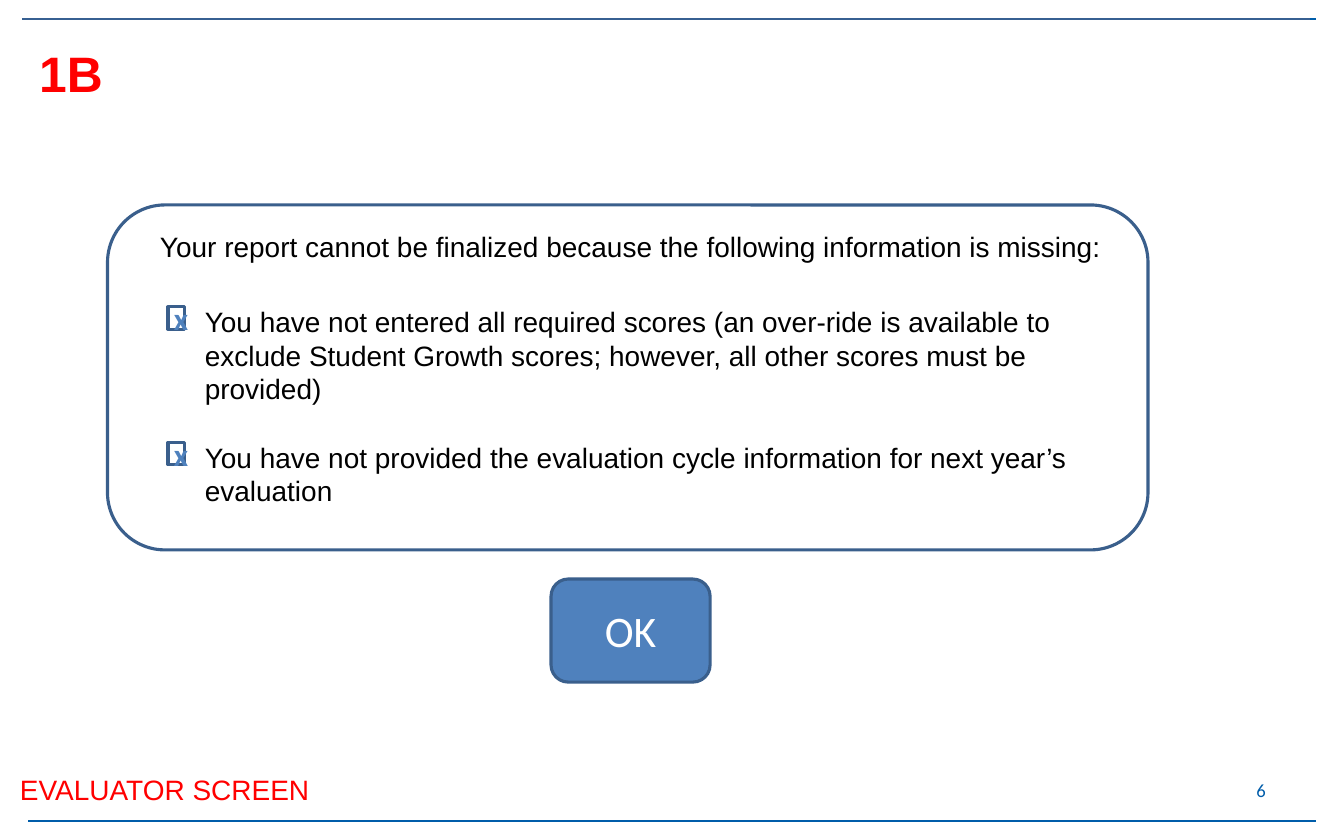
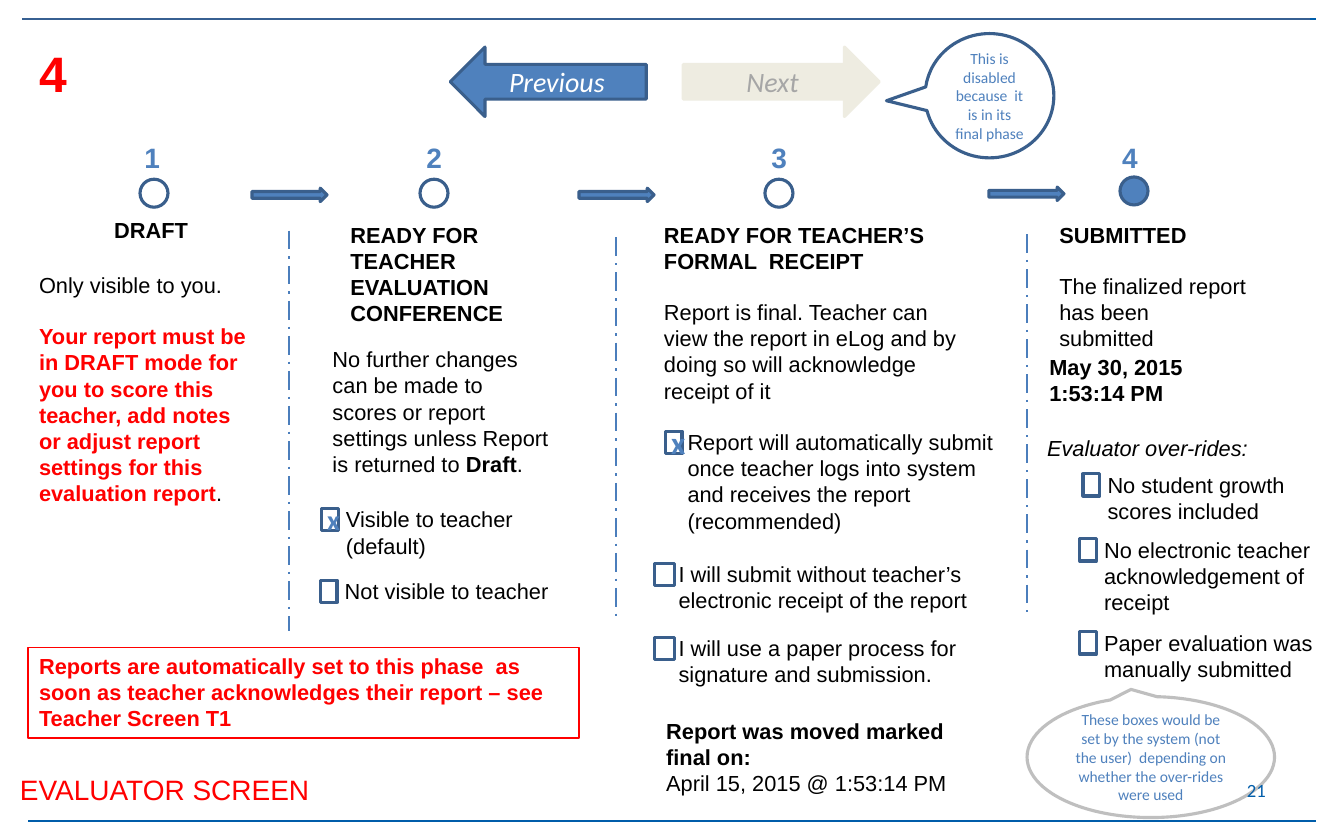
from lxml.etree import SubElement
from pptx import Presentation
from pptx.dml.color import RGBColor
from pptx.enum.dml import MSO_LINE
from pptx.enum.shapes import MSO_CONNECTOR, MSO_SHAPE
from pptx.enum.text import MSO_ANCHOR, MSO_AUTO_SIZE, PP_ALIGN
from pptx.oxml.ns import qn
from pptx.util import Inches, Pt

BLUE = RGBColor(0x4F, 0x81, 0xBD)
OUTLINE = RGBColor(0x3A, 0x5F, 0x8C)
DIVIDER = RGBColor(0x4B, 0x7E, 0xBC)
RULE = RGBColor(0x00, 0x5D, 0xAA)
TOP_RULE = RGBColor(0x37, 0x60, 0x92)
RED = RGBColor(0xFF, 0x00, 0x00)
BLACK = RGBColor(0x00, 0x00, 0x00)
WHITE = RGBColor(0xFF, 0xFF, 0xFF)
CREAM = RGBColor(0xEE, 0xEC, 0xE1)
GRAY = RGBColor(0xA6, 0xA6, 0xA6)
SILVER = RGBColor(0xBF, 0xBF, 0xBF)
W, H = 12, 7.5
MARGIN = 0.25
LINE_GAP = 16  # points, one line of 14 pt text


def add_box(s, kind, x, y, w, h, fill=None, line=None, weight=2):
    """Add a preset shape, or a wrapping text box when kind is None."""
    place = [Inches(v) for v in (x, y, w, h)]
    if kind is None:
        sp = s.shapes.add_textbox(*place)
        sp.text_frame.word_wrap = True
        return sp
    sp = s.shapes.add_shape(kind, *place)
    sp.shadow.inherit = False
    if fill is None:
        sp.fill.background()
    else:
        sp.fill.solid()
        sp.fill.fore_color.rgb = fill
    sp.line.color.rgb = line
    sp.line.width = Pt(weight)
    return sp


def write(sp, text, size=14, font="Arial", color=BLACK, bold=False, italic=False,
          align=PP_ALIGN.LEFT, anchor=MSO_ANCHOR.TOP, gap=None):
    """Append a run; a gap in points starts a new paragraph that far below."""
    tf = sp.text_frame
    tf.vertical_anchor = anchor
    p = tf.paragraphs[-1] if gap is None else tf.add_paragraph()
    p.alignment = align
    if gap is not None:
        p.space_before = Pt(gap)
    r = p.add_run()
    r.text = text
    r.font.size, r.font.name = Pt(size), font
    r.font.bold, r.font.italic = bold, italic
    r.font.color.rgb = color


CENTERED = dict(font="Calibri", align=PP_ALIGN.CENTER, anchor=MSO_ANCHOR.MIDDLE)

prs = Presentation()
prs.slide_width, prs.slide_height = Inches(W), Inches(H)

# Frame shared by both slides: rules, title, footer, page number
slides = []
for title, page in [("1B", "6"), ("4", "21")]:
    s = prs.slides.add_slide(prs.slide_layouts[5])
    slides.append(s)
    rules = [(MARGIN, 0.17, RULE), (MARGIN, H - 0.17, RULE), (0.2, 0.17, TOP_RULE)]
    for x, y, color in rules:
        ln = s.shapes.add_connector(MSO_CONNECTOR.STRAIGHT, Inches(x), Inches(y),
                                    Inches(x + W - 2 * MARGIN), Inches(y))
        ln.line.color.rgb = color
        ln.line.width = Pt(1.5)
        SubElement(ln.element.spPr, qn("a:effectLst"))
    sp = s.shapes.title
    sp.left, sp.top, sp.width, sp.height = [Inches(v) for v in (MARGIN, 0.33, 1.42, 0.64)]
    sp.text_frame.auto_size = MSO_AUTO_SIZE.NONE
    write(sp, title, size=32, color=RED, bold=True)
report, phases = slides

# Message that blocks the report
add_box(report, MSO_SHAPE.ROUNDED_RECTANGLE, 0.96, 1.83, 9.29, 3.08, WHITE, OUTLINE)
sp = add_box(report, None, 1.33, 2, 8.92, 0.4)
write(sp, "Your report cannot be finalized because the following information is missing:",
      size=18)
sp = add_box(report, MSO_SHAPE.ROUNDED_RECTANGLE, 4.92, 5.17, 1.42, 0.92, BLUE, OUTLINE)
write(sp, "OK", size=28, color=WHITE, **CENTERED)

# Navigation arrows
for text, kind, x, fill, line, color in [
    ("Next", MSO_SHAPE.RIGHT_ARROW, 6.1, CREAM, CREAM, GRAY),
    ("Previous", MSO_SHAPE.LEFT_ARROW, 4.02, BLUE, OUTLINE, WHITE),
]:
    sp = add_box(phases, kind, x, 0.42, 1.75, 0.62, fill, line)
    write(sp, text, size=18, color=color, italic=True, **CENTERED)

# Four phases: number, circle, heading
for number, (number_x, circle_x, circle_y, fill, x, y, w, heading) in enumerate([
    (1.19, 1.25, 1.6, WHITE, 0.92, 1.89, 0.89, "DRAFT"),
    (3.71, 3.75, 1.6, WHITE, 3.03, 1.93, 2.22, "READY FOR TEACHER EVALUATION CONFERENCE"),
    (6.79, 6.83, 1.6, WHITE, 5.83, 1.93, 2.89, "READY FOR TEACHER’S FORMAL  RECEIPT"),
    (9.92, 10, 1.58, BLUE, 9.36, 1.93, 1.89, "SUBMITTED"),
], start=1):
    sp = add_box(phases, None, number_x, 1.21, 0.46, 0.4)
    write(sp, str(number), size=18, color=BLUE, bold=True)
    add_box(phases, MSO_SHAPE.OVAL, circle_x, circle_y, 0.25, 0.25, fill, OUTLINE)
    sp = add_box(phases, None, x, y, w, 1.04)
    write(sp, heading, bold=True)
    if number == 3:
        write(sp, "Report is final. Teacher can view the report in eLog and by doing so "
              "will acknowledge receipt of it", gap=LINE_GAP)
    elif number == 4:
        write(sp, "The finalized report has been submitted", gap=LINE_GAP)

# Arrows and dividers between phases
for arrow_x, arrow_y, x, top, bottom in [
    (2.25, 1.68, 2.58, 2.06, 5.63),
    (5.17, 1.68, 5.5, 2.12, 5.5),
    (8.83, 1.67, 9.17, 2.09, 5.46),
]:
    add_box(phases, MSO_SHAPE.RIGHT_ARROW, arrow_x, arrow_y, 0.67, 0.12, BLUE, OUTLINE)
    ln = phases.shapes.add_connector(MSO_CONNECTOR.STRAIGHT, Inches(x), Inches(top),
                                     Inches(x), Inches(bottom))
    ln.line.color.rgb = DIVIDER
    ln.line.width = Pt(1.5)
    ln.line.dash_style = MSO_LINE.LONG_DASH_DOT
    SubElement(ln.element.spPr, qn("a:effectLst"))

# Phase details
sp = add_box(phases, None, MARGIN, 2.38, 2.08, 2.46)
write(sp, "Only visible to you.")
write(sp, "Your report must be in DRAFT mode for you to score this teacher, add notes or "
      "adjust report settings for this evaluation report",
      color=RED, bold=True, gap=LINE_GAP)
write(sp, ".")

sp = add_box(phases, None, 2.87, 3.04, 2.15, 1.28)
write(sp, "No further changes can be made to scores or report settings unless Report is "
      "returned to ")
write(sp, "Draft", bold=True)
write(sp, ".")

sp = add_box(phases, None, 5.85, 6.36, 3.07, 0.81)
write(sp, "Report was moved marked final on:", bold=True)
write(sp, "April 15, 2015 @ 1:53:14 PM", gap=0)

sp = add_box(phases, None, 9.27, 3.11, 1.89, 0.57)
write(sp, "May 30, 2015", bold=True)
write(sp, "1:53:14 PM", bold=True, gap=0)

sp = add_box(phases, None, 9.25, 3.83, 2.05, 0.34)
write(sp, "Evaluator over-rides:", italic=True)

sp = add_box(phases, MSO_SHAPE.RECTANGLE, MARGIN, 5.78, 4.92, 0.81, line=RED, weight=0.75)
write(sp, "Reports are automatically set to this phase  as soon as teacher acknowledges "
      "their report – see Teacher Screen T1", color=RED, bold=True)

# Callouts
for x, y, w, h, tip, line, text in [
    (8.26, 0.3, 1.15, 1.11, (-0.8, 0.04), OUTLINE,
     "This is disabled because  it is in its final phase"),
    (9.17, 6.22, 2.21, 1.08, (-0.08, -0.56), SILVER,
     "These boxes would be set by the system (not the user)  depending on whether "
     "the over-rides were used"),
]:
    sp = add_box(phases, MSO_SHAPE.OVAL_CALLOUT, x, y, w, h, WHITE, line)
    sp.adjustments[0], sp.adjustments[1] = tip
    write(sp, text, size=10, color=BLUE, **CENTERED)

# Check boxes: slide, box left and top, box width, mark size (0 = empty),
# text offset, text width, text size
REPORT_TEXT = (0.23, 8.11, 18)
for s, x, y, box_w, mark, (indent, text_w, size), text in [
    (report, 1.5, 2.74, 0.15, 20, REPORT_TEXT,
     "You have not entered all required scores (an over-ride is available to exclude "
     "Student Growth scores; however, all other scores must be provided)"),
    (report, 1.5, 3.95, 0.15, 20, REPORT_TEXT,
     "You have not provided the evaluation cycle information for next year’s evaluation"),
    (phases, 2.87, 4.54, 0.15, 18, (0.12, 2.01, 14), "Visible to teacher (default)"),
    (phases, 2.86, 5.18, 0.15, 0, (0.12, 2.1, 14), "Not visible to teacher"),
    (phases, 5.94, 3.85, 0.15, 20, (0.1, 3.02, 14),
     "Report will automatically submit once teacher logs into system and receives the "
     "report (recommended)"),
    (phases, 5.84, 5.03, 0.18, 0, (0.12, 3.29, 14),
     "I will submit without teacher’s electronic receipt of the report"),
    (phases, 5.84, 5.69, 0.18, 0, (0.12, 3.29, 14),
     "I will use a paper process for signature and submission."),
    (phases, 9.67, 4.23, 0.15, 0, (0.12, 1.91, 14), "No student growth scores included"),
    (phases, 9.64, 4.81, 0.15, 0, (0.12, 2.07, 14),
     "No electronic teacher acknowledgement of receipt"),
    (phases, 9.64, 5.64, 0.15, 0, (0.12, 2.07, 14),
     "Paper evaluation was manually submitted"),
]:
    sp = add_box(s, MSO_SHAPE.RECTANGLE, x, y, box_w, 0.2, WHITE, OUTLINE)
    if mark:
        write(sp, "x", size=mark, color=BLUE, bold=True, **CENTERED)
    sp = add_box(s, None, x + indent, y - 0.07, text_w, 0.57)
    write(sp, text, size=size)

# Footer and page number lie on top
for s, page in zip(slides, ("6", "21")):
    sp = add_box(s, None, 0.08, 6.85, 3.33, 0.4)
    write(sp, "EVALUATOR SCREEN", size=18, color=RED)
    sp = add_box(s, None, 8.6, 6.85, 2.8, 0.4)
    write(sp, page, size=12, font="Calibri", color=RULE, align=PP_ALIGN.RIGHT,
          anchor=MSO_ANCHOR.MIDDLE)

prs.save("out.pptx")
